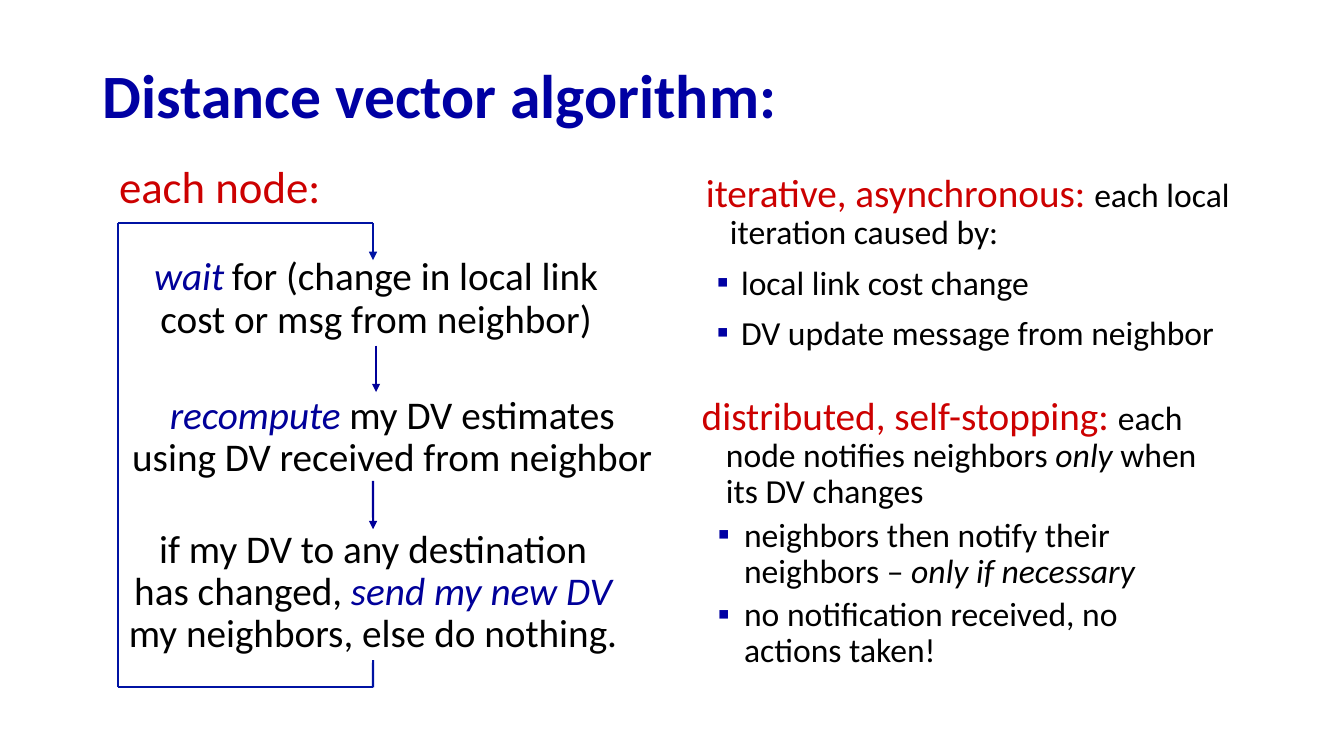
from itertools import pairwise
from lxml.etree import SubElement
from pptx import Presentation
from pptx.dml.color import RGBColor
from pptx.enum.shapes import MSO_CONNECTOR
from pptx.enum.text import MSO_ANCHOR, MSO_AUTO_SIZE, PP_ALIGN
from pptx.oxml.ns import qn
from pptx.util import Inches, Pt

FONT = "Calibri"
NAVY = RGBColor(0x00, 0x00, 0xA3)
BLUE = RGBColor(0x00, 0x00, 0x99)
LOOP = RGBColor(0x00, 0x13, 0xA3)
RED = RGBColor(0xCC, 0x00, 0x00)
BLACK = RGBColor(0x00, 0x00, 0x00)


def place(shape, box):
    shape.left, shape.top, shape.width, shape.height = map(Inches, box)


def write(para, runs):
    """Add runs given as (text, size, colour, italic)."""
    for text, size, color, italic in runs:
        run = para.add_run()
        run.text = text
        font = run.font
        font.name, font.size, font.italic = FONT, Pt(size), italic
        font.color.rgb = color


def draw_title(shape, box, text):
    place(shape, box)
    frame = shape.text_frame
    frame.text = text
    frame.vertical_anchor = MSO_ANCHOR.MIDDLE
    para = frame.paragraphs[0]
    para.alignment, para.line_spacing = PP_ALIGN.LEFT, 0.9
    font = para.runs[0].font
    font.name, font.size, font.bold = FONT, Pt(44), True
    font.color.rgb = NAVY


def set_bullet(para, left, hang, char=None):
    props = para._p.get_or_add_pPr()
    props.set("marL", str(Inches(left)))
    props.set("indent", str(-Inches(hang)))
    if char is None:
        SubElement(props, qn("a:buNone"))
        return
    color = SubElement(props, qn("a:buClr"))
    SubElement(color, qn("a:srgbClr"), val=str(NAVY))
    SubElement(props, qn("a:buFont"), typeface=FONT)
    SubElement(props, qn("a:buChar"), char=char)


def draw_list(shape, box, head, items, left, hang, gap):
    """Fill a body placeholder with a hanging lead-in and its bullets."""
    place(shape, box)
    frame = shape.text_frame
    frame.word_wrap, frame.auto_size = True, MSO_AUTO_SIZE.NONE
    frame.vertical_anchor = MSO_ANCHOR.TOP
    for i, runs in enumerate([head, *items]):
        para = frame.add_paragraph() if i else frame.paragraphs[0]
        para.line_spacing = 0.9
        para.space_before = Pt(gap if i else 0)
        if i:
            set_bullet(para, left, hang, "▪")
        else:
            set_bullet(para, 0.39, 0.24)
        write(para, runs)


def add_text(slide, box, runs, wrap=True, spacing=0.9, inset=0):
    shape = slide.shapes.add_textbox(*map(Inches, box))
    frame = shape.text_frame
    frame.word_wrap = wrap
    frame.margin_top = frame.margin_bottom = Inches(inset)
    para = frame.paragraphs[0]
    para.alignment, para.line_spacing = PP_ALIGN.CENTER, spacing
    write(para, runs)
    return shape


def add_line(slide, start, end, color, arrow=False):
    line = slide.shapes.add_connector(
        MSO_CONNECTOR.STRAIGHT, *map(Inches, (*start, *end)))
    line.line.color.rgb, line.line.width = color, Pt(1.5)
    if arrow:
        SubElement(line.line._get_or_add_ln(), qn("a:tailEnd"), type="triangle")
    SubElement(line._element.spPr, qn("a:effectLst"))
    return line


def draw_flow(slide, x, y):
    """Draw the node's three steps and the loop back to the first."""
    add_text(slide, (x - 0.1, y - 0.68, 2.22, 0.64),
             [("each node:", 32, RED, False)], False, 1.0, 0.05)
    wait = add_text(slide, (x + 0.04, y + 0.34, 5.04, 0.88), [
        ("wait", 28, BLUE, True), (" ", 24, BLUE, False),
        ("for (change in local link cost or msg from neighbor)",
         28, BLACK, False)])
    add_text(slide, (x - 0.01, y + 1.71, 5.46, 0.88), [
        ("recompute", 28, BLUE, True),
        (" my DV estimates using DV received from neighbor",
         28, BLACK, False)])
    send = add_text(slide, (x + 0.01, y + 3.04, 5.04, 1.3), [
        ("if my DV to any destination has changed, ", 28, BLACK, False),
        ("send my new DV ", 28, BLUE, True),
        ("my neighbors, else do nothing.", 28, BLACK, False)])

    mid, low = x + 2.53, y + 4.61
    down = add_line(slide, (x + 2.56, y + 1.22), (x + 2.56, y + 1.68), BLUE, True)
    down.begin_connect(wait, 2)
    down = add_line(slide, (mid, y + 2.56), (mid, y + 3.04), BLUE, True)
    down.end_connect(send, 0)
    out = add_line(slide, (mid, y + 4.34), (mid, low), LOOP)
    out.begin_connect(send, 2)
    for start, end in pairwise([(mid, low), (x, low), (x, y), (mid, y)]):
        add_line(slide, start, end, LOOP)
    add_line(slide, (mid, y), (mid, y + 0.37), LOOP, True)


def main():
    deck = Presentation()
    deck.slide_width, deck.slide_height = Inches(13.33), Inches(7.5)
    slide = deck.slides.add_slide(deck.slide_layouts[3])
    title, upper, lower = slide.placeholders
    draw_title(title, (0.92, 0.49, 11.5, 0.98), "Distance vector algorithm:")
    draw_list(upper, (6.75, 1.67, 5.91, 2.16), [
        ("iterative, asynchronous: ", 28, RED, False),
        ("each local iteration caused by:", 24, BLACK, False),
    ], [
        [("local link cost change", 24, BLACK, False)],
        [("DV update message from neighbor", 24, BLACK, False)],
    ], 0.5, 0.24, 10)
    draw_list(lower, (6.71, 3.88, 5.4, 3.19), [
        ("distributed, self-stopping: ", 28, RED, False),
        ("each node notifies neighbors ", 24, BLACK, False),
        ("only", 24, BLACK, True),
        (" when its DV changes", 24, BLACK, False),
    ], [
        [("neighbors then notify their neighbors – ", 24, BLACK, False),
         ("only if necessary", 24, BLACK, True)],
        [("no notification received, no actions taken!", 24, BLACK, False)],
    ], 0.57, 0.26, 5)
    draw_flow(slide, 1.17, 2.21)
    deck.save("out.pptx")


if __name__ == "__main__":
    main()
